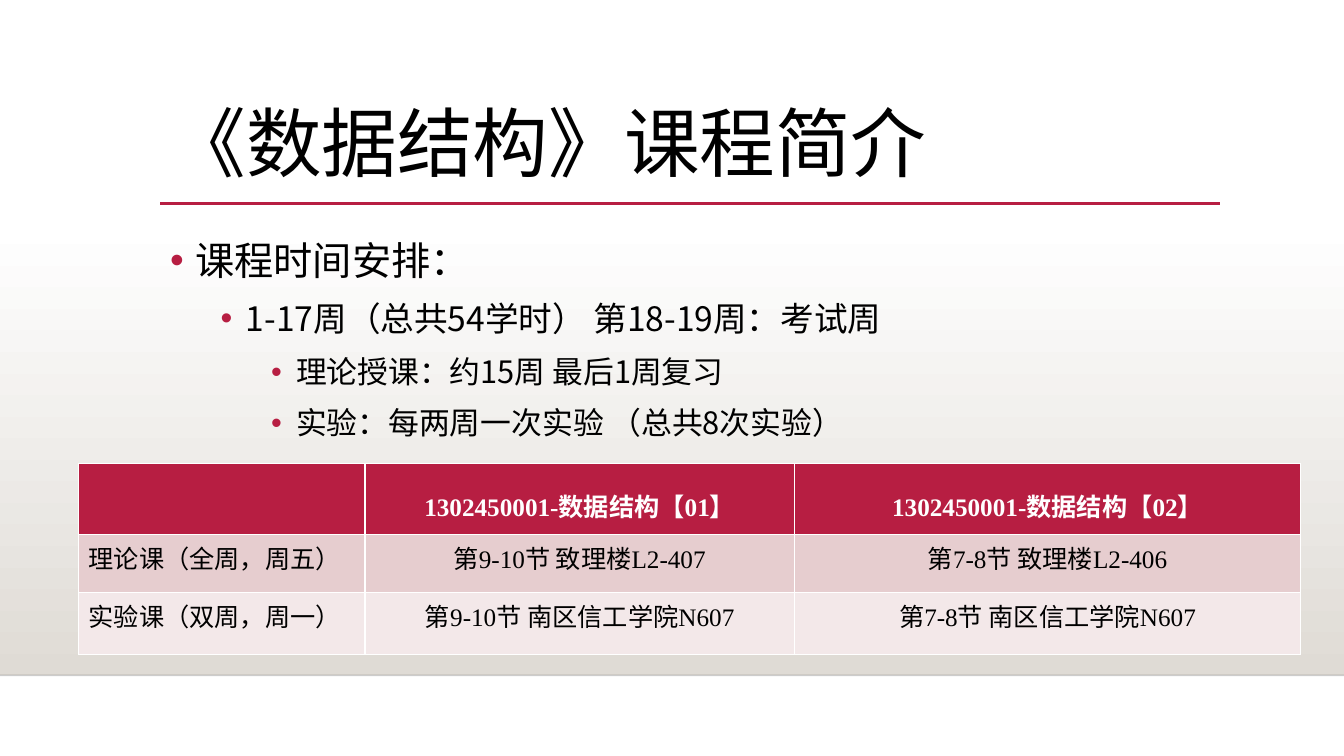
from lxml.etree import SubElement
from pptx import Presentation
from pptx.dml.color import RGBColor
from pptx.enum.shapes import MSO_CONNECTOR, MSO_SHAPE
from pptx.enum.text import MSO_ANCHOR, PP_ALIGN
from pptx.oxml.ns import qn
from pptx.util import Pt

PX = 9144
COLORS = {"accent": "B71E42", "floor": "DFDBD5", "white": "FFFFFF", "black": "000000",
          "band_dark": "E6CDCF", "band_light": "F3E8E9"}
SCHEDULE = [
    (0, 28, "课程时间安排："),
    (1, 24, "1-17周（总共54学时） 第18-19周：考试周"),
    (2, 22, "理论授课：约15周 最后1周复习"),
    (2, 22, "实验：每两周一次实验 （总共8次实验）"),
]
CLASSES = [
    ("", "1302450001-数据结构【01】", "1302450001-数据结构【02】"),
    ("理论课（全周，周五）", "第9-10节 致理楼L2-407", "第7-8节 致理楼L2-406"),
    ("实验课（双周，周一）", "第9-10节 南区信工学院N607", "第7-8节 南区信工学院N607"),
]
COLUMN_WIDTHS = [284, 426, 502]
ROW_HEIGHTS = [70, 58, 61]
ROW_FILLS = ["accent", "band_dark", "band_light"]


def px(*lengths):
    """Turn px lengths into EMU."""
    return [length * PX for length in lengths]


def rgb(name):
    """Look up a colour by name."""
    return RGBColor.from_string(COLORS[name])


def style(paragraph, size, face, color="black", bold=False):
    """Set the font of a whole paragraph."""
    font = paragraph.font
    font.size, font.name, font.bold = Pt(size), face, bold
    font.color.rgb = rgb(color)


def add_backdrop(slide):
    """Add the shaded floor."""
    floor = slide.shapes.add_shape(MSO_SHAPE.RECTANGLE, *px(0, 221, 1333, 449))
    floor.shadow.inherit = False
    floor.line.fill.background()
    floor.fill.gradient()
    floor.fill.gradient_angle = 270
    for stop, color in zip(floor.fill.gradient_stops, ("white", "floor")):
        stop.color.rgb = rgb(color)


def add_rule(slide, left, right, y, color, width, opacity=100):
    """Add a horizontal line."""
    rule = slide.shapes.add_connector(MSO_CONNECTOR.STRAIGHT, *px(left, y, right, y))
    rule.line.width = Pt(width)
    rule.line.color.rgb = rgb(color)
    if opacity < 100:
        tint = rule.line._get_or_add_ln().find(".//" + qn("a:srgbClr"))
        SubElement(tint, qn("a:alpha"), val=str(opacity * 1000))
    SubElement(rule._element.spPr, qn("a:effectLst"))


def set_title(slide, text):
    """Place and format the title."""
    title = slide.shapes.title
    title.left, title.top, title.width, title.height = px(159, 88, 1050, 115)
    title.text_frame.text = text
    title.text_frame.vertical_anchor = MSO_ANCHOR.MIDDLE
    heading = title.text_frame.paragraphs[0]
    heading.alignment = PP_ALIGN.LEFT
    heading.line_spacing = 0.9
    style(heading, 54, "Calibri")


def add_bullet(paragraph, level):
    """Give a paragraph a coloured bullet and a hanging indent."""
    paragraph.level = level
    props = paragraph._p.get_or_add_pPr()
    indent, = px(25)
    props.set("marL", str(indent * (1 + 2 * level)))
    props.set("indent", str(-indent))
    SubElement(SubElement(props, qn("a:buClr")), qn("a:srgbClr"), val=COLORS["accent"])
    SubElement(props, qn("a:buFont"), typeface="Arial")
    SubElement(props, qn("a:buChar"), char="•")


def add_schedule(slide):
    """Add the bulleted course schedule."""
    frame = slide.shapes.add_textbox(*px(159, 220, 1050, 227)).text_frame
    frame.word_wrap = True
    for index, (level, size, text) in enumerate(SCHEDULE):
        item = frame.add_paragraph() if index else frame.paragraphs[0]
        item.text = text
        item.line_spacing = 1.2
        if index:
            item.space_before = Pt(5)
        add_bullet(item, level)
        style(item, size, "Noto Sans CJK SC")


def add_classes(slide):
    """Add the table of class times and rooms."""
    table = slide.shapes.add_table(len(ROW_HEIGHTS), len(COLUMN_WIDTHS),
                                   *px(78, 460, sum(COLUMN_WIDTHS), sum(ROW_HEIGHTS))).table
    for column, width in zip(table.columns, px(*COLUMN_WIDTHS)):
        column.width = width
    for row, height in zip(table.rows, px(*ROW_HEIGHTS)):
        row.height = height
    for r, texts in enumerate(CLASSES):
        for c, text in enumerate(texts):
            cell = table.cell(r, c)
            cell.fill.solid()
            cell.fill.fore_color.rgb = rgb(ROW_FILLS[r])
            cell.text = text
            entry = cell.text_frame.paragraphs[0]
            entry.alignment = PP_ALIGN.CENTER if c else PP_ALIGN.LEFT
            entry.line_spacing = 1.0 if r else 1.5
            style(entry, 18, "Times New Roman" if c else "Calibri",
                  "black" if r else "white", bold=r == 0)


def main():
    """Build the course introduction slide."""
    deck = Presentation()
    deck.slide_width, deck.slide_height = px(1333, 750)
    slide = deck.slides.add_slide(deck.slide_layouts[5])
    add_backdrop(slide)
    add_rule(slide, 0, 1333, 670, "black", 1, opacity=20)
    add_rule(slide, 159, 1210, 202, "accent", 2.5)
    set_title(slide, "《数据结构》课程简介")
    add_schedule(slide)
    add_classes(slide)
    deck.save("out.pptx")


if __name__ == "__main__":
    main()
